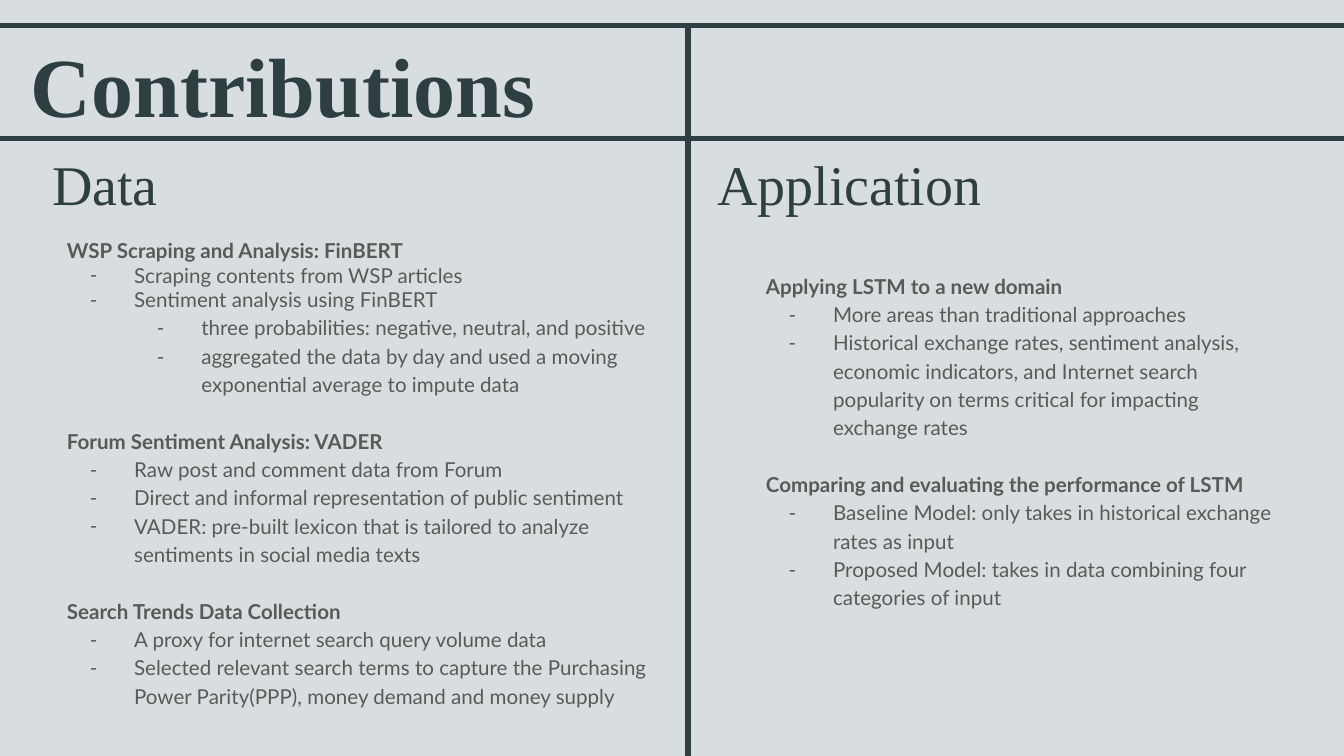
from lxml import etree
from pptx import Presentation
from pptx import util as u
from pptx.dml.color import RGBColor
from pptx.enum import shapes, text
from pptx.oxml.ns import qn

COLOURS = {"ground": "D8DEDF", "dark": "2E3F42", "body": "595959"}
WIDTH = 10
HEIGHT = WIDTH * 9 / 16
DIVIDER = 5.12

DATA = [
    ("WSP Scraping and Analysis: FinBERT", [
        (0, "Scraping contents from WSP articles"),
        (0, "Sentiment analysis using FinBERT"),
        (1, "three probabilities: negative, neutral, and positive"),
        (1, "aggregated the data by day and used a moving exponential average to impute data"),
    ]),
    ("Forum Sentiment Analysis: VADER", [
        (0, "Raw post and comment data from Forum"),
        (0, "Direct and informal representation of public sentiment"),
        (0, "VADER: pre-built lexicon that is tailored to analyze sentiments in social media texts"),
    ]),
    ("Search Trends Data Collection", [
        (0, "A proxy for internet search query volume data"),
        (0, "Selected relevant search terms to capture the Purchasing Power Parity(PPP), "
            "money demand and money supply"),
    ]),
]
APPLICATION = [
    ("Applying LSTM to a new domain", [
        (0, "More areas than traditional approaches"),
        (0, "Historical exchange rates, sentiment analysis, economic indicators, and Internet "
            "search popularity on terms critical for impacting exchange rates"),
    ]),
    ("Comparing and evaluating the performance of LSTM", [
        (0, "Baseline Model: only takes in historical exchange rates as input"),
        (0, "Proposed Model: takes in data combining four categories of input"),
    ]),
]


class Deck:
    """Holds the style and the current slide."""

    def __init__(self):
        self.prs = Presentation()
        self.prs.slide_width, self.prs.slide_height = u.Inches(WIDTH), u.Inches(HEIGHT)
        self.slide = self.prs.slides.add_slide(self.prs.slide_layouts[6])
        ground = self.slide.background.fill
        ground.solid()
        ground.fore_color.rgb = self.colour("ground")

    def colour(self, name):
        return RGBColor.from_string(COLOURS[name])

    def rule(self, x1, y1, x2, y2):
        line = self.slide.shapes.add_connector(
            shapes.MSO_CONNECTOR.STRAIGHT, *map(u.Inches, (x1, y1, x2, y2)))
        line.line.color.rgb = self.colour("dark")
        line.line.width = u.Pt(3)
        etree.SubElement(line._element.spPr, qn("a:effectLst"))

    def frame(self, place, inset):
        frame = self.slide.shapes.add_textbox(*map(u.Inches, place)).text_frame
        frame.word_wrap = True
        frame.margin_left = frame.margin_right = u.Inches(inset)
        frame.margin_top = frame.margin_bottom = u.Inches(inset)
        return frame

    def style(self, paragraph, font, size, colour, bold):
        paragraph.font.name = font
        paragraph.font.size = u.Pt(size)
        paragraph.font.bold = bold
        paragraph.font.color.rgb = self.colour(colour)

    def heading(self, place, words, size, spacing, align, bold=False):
        frame = self.frame(place, 0)
        frame.auto_size = text.MSO_AUTO_SIZE.SHAPE_TO_FIT_TEXT
        heading = frame.paragraphs[0]
        heading.text, heading.alignment, heading.line_spacing = words, align, spacing
        self.style(heading, "Times New Roman", size, "dark", bold)

    def dash(self, paragraph, level):
        paragraph.level = level
        props = paragraph._p.get_or_add_pPr()
        props.set("marL", str(u.Inches(0.5 * (level + 1))))
        props.set("indent", str(u.Inches(-0.33)))
        tint = etree.SubElement(props, qn("a:buClr"))
        etree.SubElement(tint, qn("a:srgbClr"), val=COLOURS["body"])
        etree.SubElement(props, qn("a:buFont"), typeface="Lato")
        etree.SubElement(props, qn("a:buChar"), char="-")

    def topics(self, place, topics, tight=0):
        frame = self.frame(place, 0.1)
        rows = [row for title, points in topics for row in [(None, title), *points]]
        for number, (level, words) in enumerate(rows):
            row = frame.add_paragraph() if number else frame.paragraphs[0]
            row.text = words
            row.line_spacing = 1.0 if number < tight else 1.15
            if level is not None:
                self.dash(row, level)
            elif number:
                row.space_before = u.Pt(15.2)
            self.style(row, "Lato", 11, "body", level is None)


def main():
    deck = Deck()
    centre, left = text.PP_ALIGN.CENTER, text.PP_ALIGN.LEFT
    for x, words in ((-0.73, "Data"), (4.81, "Application")):
        deck.heading((x, 1.1, 3.02, 0.5), words, 30, 1.03, centre)
    deck.rule(0, 1.03, WIDTH, 1.03)
    deck.rule(DIVIDER, 5.83, DIVIDER, 0.21)
    deck.heading((0.23, 0.21, 7.41, 0.76), "Contributions", 45, 1.05, left, bold=True)
    deck.rule(0, 0.19, WIDTH, 0.19)
    deck.topics((0.4, 1.67, 4.77, 3.96), DATA, tight=3)
    deck.topics((5.6, 1.91, 4.05, 2.83), APPLICATION)
    deck.prs.save("out.pptx")


if __name__ == "__main__":
    main()
